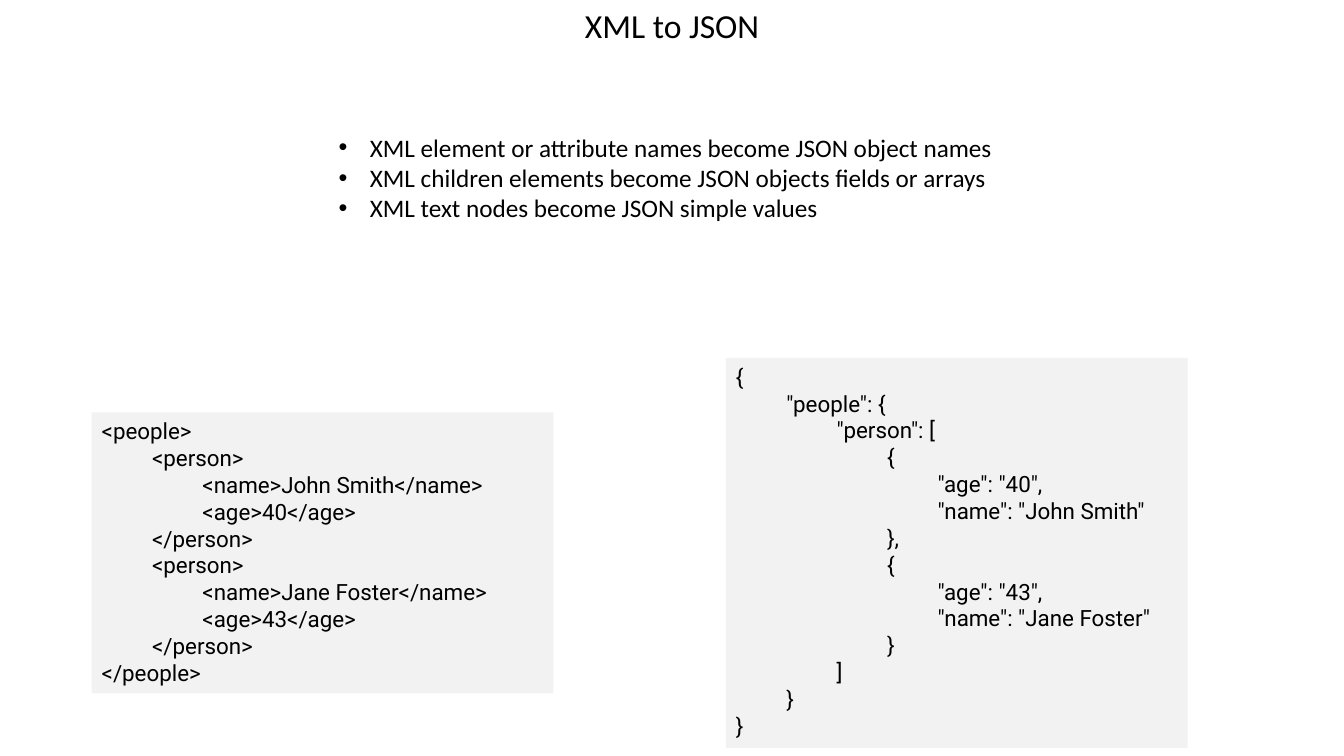
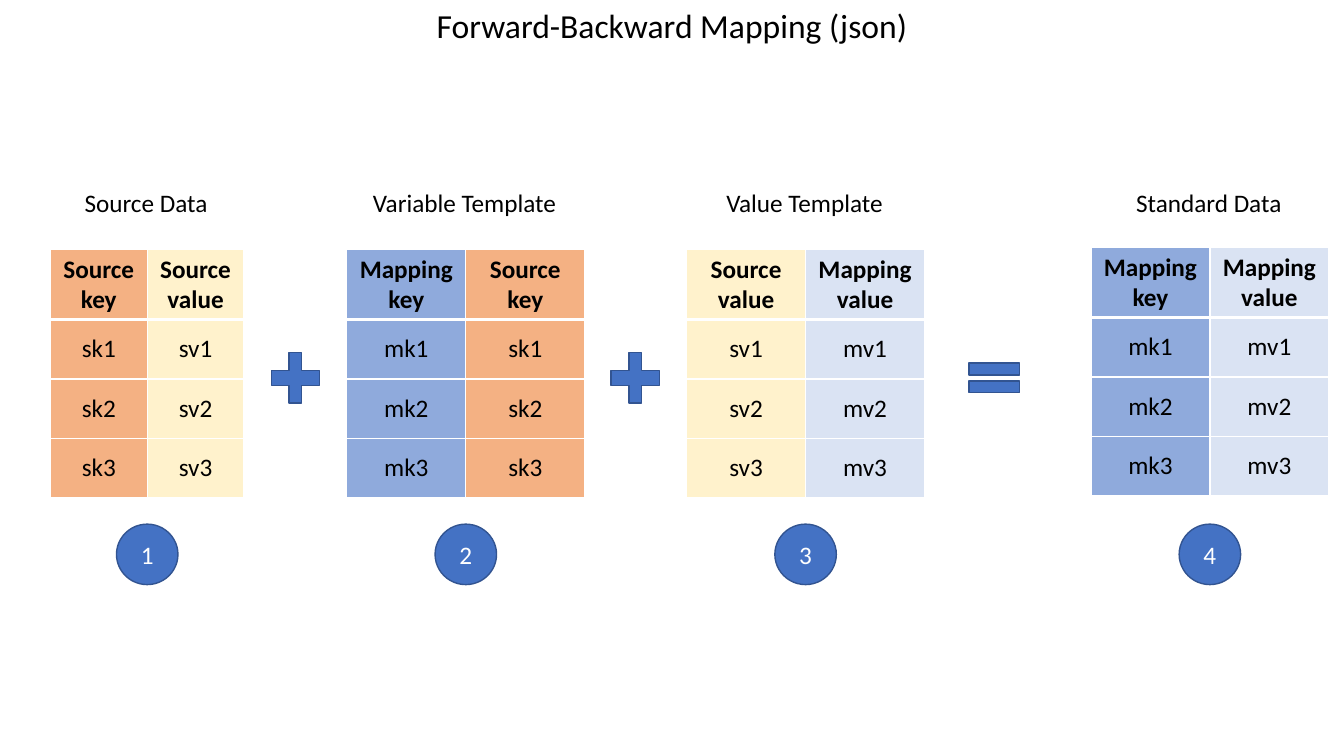
import lxml.etree
import pptx
import pptx.dml.color
import pptx.enum.shapes
import pptx.enum.text
import pptx.oxml.ns
import pptx.util

EMU_PER_PX = 9144  # 100 px to the inch
SHAPE = pptx.enum.shapes.MSO_SHAPE
ALIGN = pptx.enum.text.PP_ALIGN
ANCHOR = pptx.enum.text.MSO_ANCHOR
GROW = pptx.enum.text.MSO_AUTO_SIZE.SHAPE_TO_FIT_TEXT
qn = pptx.oxml.ns.qn

# Shared style
BODY_FONT, CODE_FONT = "Calibri", "Roboto"
BLACK, WHITE, CODE_FILL = "000000", "FFFFFF", "F2F2F2"
ACCENT, ACCENT_LINE = "4472C4", "325491"
COLUMN_FILLS = {
    "Source key": "F4B183",
    "Source value": "FFF2CC",
    "Mapping key": "8FAADC",
    "Mapping value": "DAE3F3",
}
HEADER_HEIGHT, ROW_HEIGHT, ROW_COUNT = 70, 59, 3

# Slide 1 content
RULES = """XML element or attribute names become JSON object names
XML children elements become JSON objects fields or arrays
XML text nodes become JSON simple values"""

XML_CODE = """<people>
  <person>
    <name>John Smith</name>
    <age>40</age>
  </person>
  <person>
    <name>Jane Foster</name>
    <age>43</age>
  </person>
</people>"""

JSON_CODE = """{
  "people": {
    "person": [
      {
        "age": "40",
        "name": "John Smith"
      },
      {
        "age": "43",
        "name": "Jane Foster"
      }
    ]
  }
}"""

# Slide 2 content: label, label width, left, top, column width, columns
MAPPING_STEPS = [
    ("Source Data", 144, 50, 247, 96, ("Source key", "Source value")),
    ("Variable Template", 204, 344, 247, 118, ("Mapping key", "Source key")),
    ("Value Template", 177, 681, 247, 118, ("Source value", "Mapping value")),
    ("Standard Data", 166, 1082, 245, 118, ("Mapping key", "Mapping value")),
]
# Operator: shape, centre, width
OPERATORS = [(SHAPE.CROSS, 293, 48), (SHAPE.CROSS, 630, 48), (SHAPE.MATH_EQUAL, 986, 68)]


def px(*lengths):
    return [pptx.util.Emu(round(length * EMU_PER_PX)) for length in lengths]


def paint(color_format, color):
    color_format.rgb = pptx.dml.color.RGBColor.from_string(color)


def fill_with(target, color):
    target.fill.solid()
    paint(target.fill.fore_color, color)


def style_text(frame, size, font=BODY_FONT, color=BLACK, align=ALIGN.LEFT, bold=False):
    for paragraph in frame.paragraphs:
        paragraph.alignment = align
        for run in paragraph.runs:
            run.font.size = pptx.util.Pt(size)
            run.font.name = font
            run.font.bold = bold
            paint(run.font.color, color)


def add_text(slide, box, text, size, align=ALIGN.LEFT, wrap=True):
    frame = slide.shapes.add_textbox(*px(*box)).text_frame
    frame.word_wrap = wrap
    frame.auto_size = GROW
    frame.text = text
    style_text(frame, size, align=align)
    return frame


def add_title(slide, title):
    add_text(slide, (199, 0, 935, 50), title, 24, ALIGN.CENTER)


def add_filled_shape(slide, kind, box, color, line_color=None):
    shape = slide.shapes.add_shape(kind, *px(*box))
    shape.shadow.inherit = False
    fill_with(shape, color)
    if line_color:
        paint(shape.line.color, line_color)
        shape.line.width = pptx.util.Pt(1)
    else:
        shape.line.fill.background()
    return shape


def set_indent(paragraph, left, first=0):
    properties = paragraph._p.get_or_add_pPr()
    properties.set("marL", str(px(left)[0]))
    properties.set("indent", str(px(first)[0]))
    return properties


def add_bullets(slide, box, text):
    for paragraph in add_text(slide, box, text, 18).paragraphs:
        properties = set_indent(paragraph, 31, -31)
        lxml.etree.SubElement(properties, qn("a:buFont")).set("typeface", "Arial")
        lxml.etree.SubElement(properties, qn("a:buChar")).set("char", "•")


def add_code(slide, box, code):
    """Two leading spaces in the code stand for one indent level."""
    frame = add_filled_shape(slide, SHAPE.RECTANGLE, box, CODE_FILL).text_frame
    lines = code.splitlines()
    frame.text = "\n".join(line.strip() for line in lines)
    frame.word_wrap = True
    frame.auto_size = GROW
    frame.vertical_anchor = ANCHOR.TOP
    style_text(frame, 16, CODE_FONT)
    for paragraph, line in zip(frame.paragraphs, lines):
        paragraph.level = (len(line) - len(line.lstrip())) // 2
        set_indent(paragraph, 50 * paragraph.level)


def set_borders(cell, row):
    """White grid, thicker below the header row."""
    widths = {"L": 1, "R": 1, "T": 3 if row == 1 else 1, "B": 3 if row == 0 else 1}
    properties = cell._tc.get_or_add_tcPr()
    for side, width in widths.items():
        border = lxml.etree.SubElement(properties, qn(f"a:ln{side}"))
        border.set("w", str(pptx.util.Pt(width)))
        solid = lxml.etree.SubElement(border, qn("a:solidFill"))
        lxml.etree.SubElement(solid, qn("a:srgbClr")).set("val", WHITE)


def add_mapping_table(slide, left, top, column_width, headers):
    height = HEADER_HEIGHT + ROW_COUNT * ROW_HEIGHT
    box = px(left, top, column_width * len(headers), height)
    table = slide.shapes.add_table(ROW_COUNT + 1, len(headers), *box).table
    table.horz_banding = False
    for row_index, row in enumerate(table.rows):
        is_header = row_index == 0
        row.height = px(HEADER_HEIGHT if is_header else ROW_HEIGHT)[0]
        for header, cell in zip(headers, row.cells):
            initials = "".join(word[0].lower() for word in header.split())
            cell.text = header if is_header else f"{initials}{row_index}"
            cell.vertical_anchor = ANCHOR.TOP if is_header else ANCHOR.MIDDLE
            style_text(cell.text_frame, 18, align=ALIGN.CENTER, bold=is_header)
            set_borders(cell, row_index)
            fill_with(cell, COLUMN_FILLS[header])


def add_operator(slide, kind, centre, width):
    box = (centre - width / 2, 350, width, 50)
    operator = add_filled_shape(slide, kind, box, ACCENT, ACCENT_LINE)
    if kind == SHAPE.CROSS:
        operator.adjustments[0] = 0.37


def add_step_number(slide, centre, number):
    box = (centre - 30.5, 520, 61, 60)
    frame = add_filled_shape(slide, SHAPE.OVAL, box, ACCENT, ACCENT_LINE).text_frame
    frame.text = str(number)
    frame.vertical_anchor = ANCHOR.MIDDLE
    style_text(frame, 18, color=WHITE, align=ALIGN.CENTER)


def build_conversion(slide):
    add_title(slide, "XML to JSON")
    add_bullets(slide, (326, 126, 681, 101), RULES)
    add_code(slide, (91, 409, 458, 279), XML_CODE)
    add_code(slide, (720, 355, 458, 387), JSON_CODE)


def build_mapping(slide):
    add_title(slide, "Forward-Backward Mapping (json)")
    for number, step in enumerate(MAPPING_STEPS, start=1):
        label, label_width, left, top, column_width, headers = step
        centre = left + column_width
        label_box = (centre - label_width / 2, 181, label_width, 40)
        add_text(slide, label_box, label, 18, wrap=False)
        add_mapping_table(slide, left, top, column_width, headers)
        add_step_number(slide, centre, number)
    for kind, centre, width in OPERATORS:
        add_operator(slide, kind, centre, width)


def main():
    deck = pptx.Presentation()
    deck.slide_width, deck.slide_height = px(1333, 750)
    blank = deck.slide_layouts[6]
    for build in (build_conversion, build_mapping):
        build(deck.slides.add_slide(blank))
    deck.save("out.pptx")


if __name__ == "__main__":
    main()
